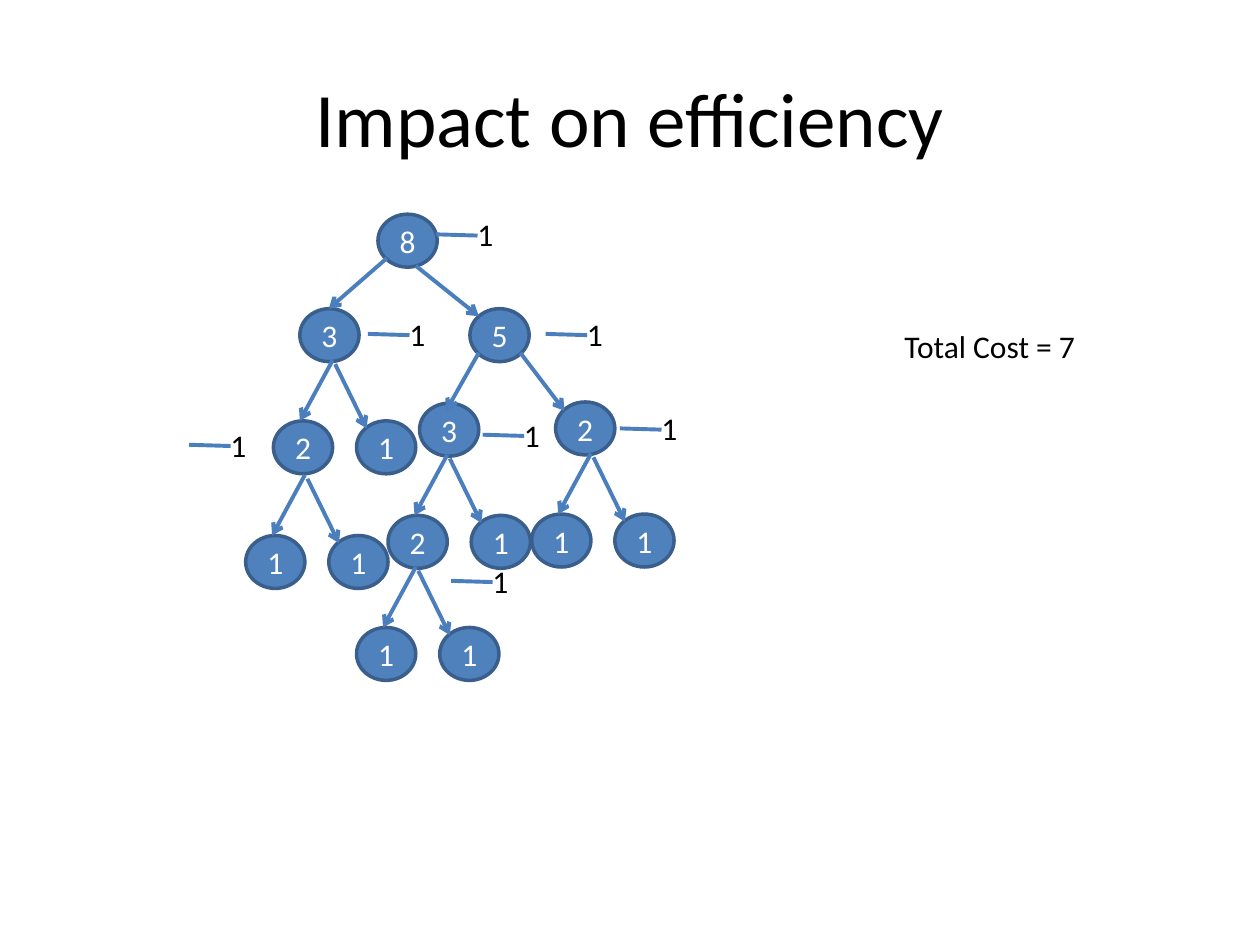
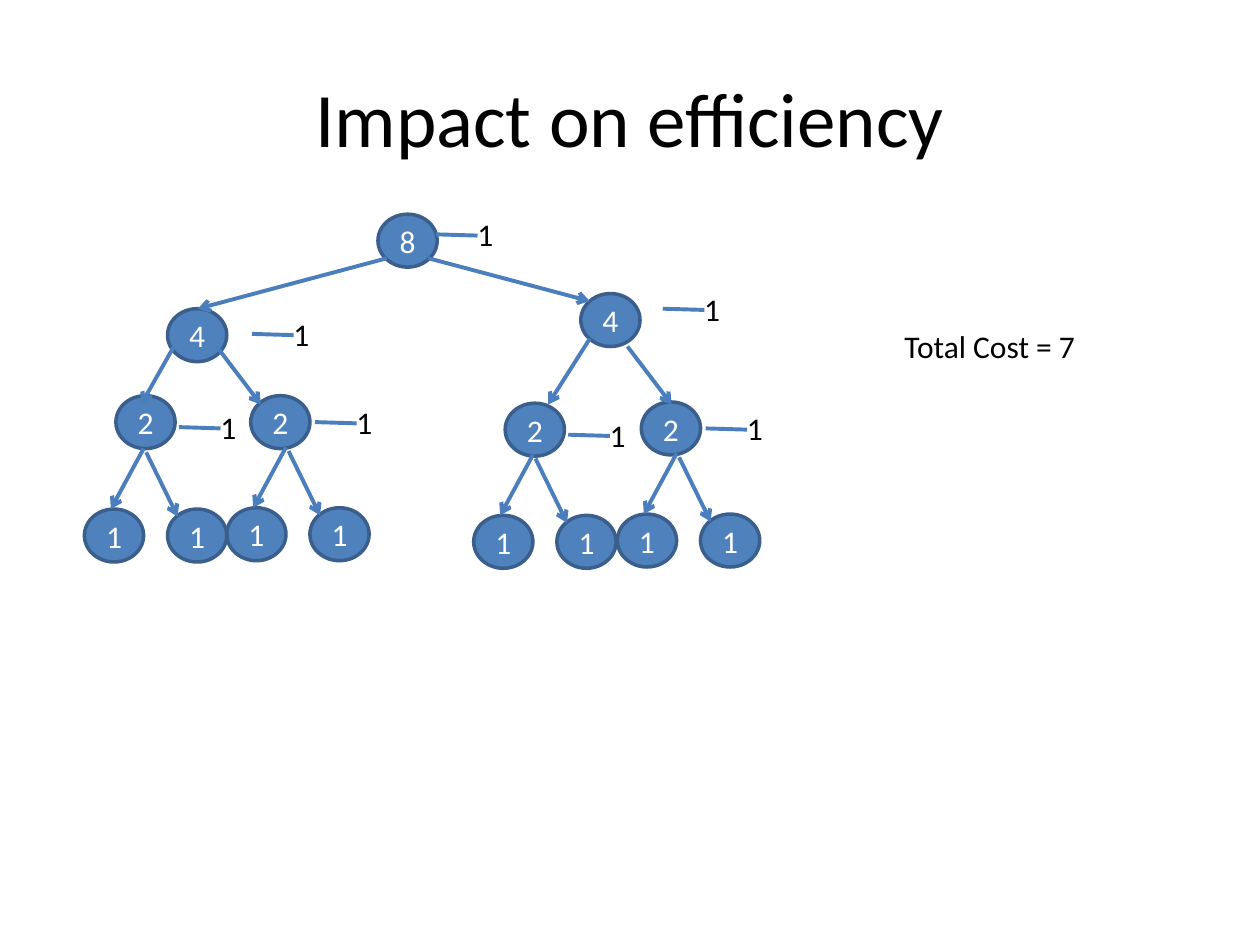
from lxml import etree
from pptx import Presentation
from pptx.dml.color import RGBColor
from pptx.enum.shapes import MSO_CONNECTOR as Connector, MSO_SHAPE as Shape
from pptx.enum.text import MSO_ANCHOR as Anchor, MSO_AUTO_SIZE as AutoSize, PP_ALIGN as Align
from pptx.oxml.ns import qn
from pptx.util import Inches, Pt

BLACK = RGBColor(0x00, 0x00, 0x00)
WHITE = RGBColor(0xFF, 0xFF, 0xFF)
NODE_FILL = RGBColor(0x4F, 0x81, 0xBD)
NODE_EDGE = RGBColor(0x3A, 0x5F, 0x8C)
LINK = RGBColor(0x4B, 0x7E, 0xBC)

NODE_WIDTH, NODE_HEIGHT = 0.47, 0.42
SIBLING_STEP = 0.66

# Nodes: label, left, top. Links: from x, y to x, y.
# Splits: left and top of the left child, then the two labels.
# Costs: start of the short line before each "1".
UNEVEN_TREE = {
    "nodes": [("8", 3, 1.7), ("5", 3.73, 2.45), ("3", 2.38, 2.45),
              ("3", 3.33, 3.2), ("2", 4.41, 3.19)],
    "links": [(3.07, 2.05, 2.61, 2.45), (3.8, 2.8, 3.54, 3.26),
              (3.3, 2.11, 3.8, 2.51), (4.13, 2.8, 4.48, 3.26)],
    "splits": [(4.22, 4.08, "11"), (3.08, 4.09, "21"), (2.17, 3.34, "21"),
               (2.83, 4.98, "11"), (1.95, 4.25, "11")],
    "costs": [(3.46, 1.86), (2.92, 2.65), (4.92, 3.4), (4.33, 2.65),
              (3.83, 3.45), (3.58, 4.61), (1.5, 3.53)],
}
EVEN_TREE = {
    "nodes": [("8", 3, 1.7), ("4", 4.61, 2.33), ("4", 1.33, 2.45),
              ("2", 4.01, 3.2), ("2", 5.09, 3.19),
              ("2", 0.92, 3.14), ("2", 1.99, 3.14)],
    "links": [(3.07, 2.05, 1.57, 2.45), (3.4, 2.05, 4.68, 2.39),
              (1.38, 2.75, 1.12, 3.21), (1.72, 2.75, 2.07, 3.21),
              (4.68, 2.69, 4.35, 3.21), (4.98, 2.75, 5.33, 3.21)],
    "splits": [(4.9, 4.08, "11"), (3.76, 4.09, "11"),
               (1.8, 4.03, "11"), (0.67, 4.04, "11")],
    "costs": [(3.46, 1.86), (2, 2.65), (5.6, 3.4), (4.51, 3.45),
              (2.5, 3.35), (1.42, 3.39), (5.26, 2.45)],
}


class TreeDeck:
    body_format = {"name": "Calibri", "size": Pt(18)}
    title_format = {"name": "Calibri", "size": Pt(44)}

    def __init__(self):
        self.deck = Presentation()
        self.deck.slide_width, self.deck.slide_height = Inches(10), Inches(7.5)
        self.page = None

    def put_text(self, box, text, color, formats, align=Align.LEFT):
        para = box.text_frame.paragraphs[0]
        para.alignment = align
        span = para.add_run()
        span.text = text
        for key, value in formats.items():
            setattr(span.font, key, value)
        span.font.color.rgb = color

    def new_page(self, title):
        self.page = self.deck.slides.add_slide(self.deck.slide_layouts[5])
        box = self.page.shapes.title
        box.left, box.top = Inches(0.5), Inches(0.3)
        box.width, box.height = Inches(9), Inches(1.25)
        box.text_frame.vertical_anchor = Anchor.MIDDLE
        self.put_text(box, title, BLACK, self.title_format, Align.CENTER)

    def text(self, text, left, top, width, height=0.4):
        box = self.page.shapes.add_textbox(
            Inches(left), Inches(top), Inches(width), Inches(height))
        box.text_frame.word_wrap = True
        box.text_frame.auto_size = AutoSize.SHAPE_TO_FIT_TEXT
        self.put_text(box, text, BLACK, self.body_format)

    def node(self, label, left, top):
        circle = self.page.shapes.add_shape(
            Shape.OVAL, Inches(left), Inches(top),
            Inches(NODE_WIDTH), Inches(NODE_HEIGHT))
        circle.shadow.inherit = False
        circle.fill.solid()
        circle.fill.fore_color.rgb = NODE_FILL
        circle.line.color.rgb = NODE_EDGE
        circle.line.width = Pt(2)
        circle.text_frame.vertical_anchor = Anchor.MIDDLE
        self.put_text(circle, label, WHITE, self.body_format, Align.CENTER)

    def link(self, x1, y1, x2, y2, arrow=True):
        line = self.page.shapes.add_connector(
            Connector.STRAIGHT, Inches(x1), Inches(y1), Inches(x2), Inches(y2))
        line.line.color.rgb = LINK
        line.line.width = Pt(2.25)
        properties = line._element.spPr
        if arrow:
            etree.SubElement(properties.get_or_add_ln(), qn("a:tailEnd"), type="arrow")
        etree.SubElement(properties, qn("a:effectLst"))

    def split(self, left, top, labels):
        """Two sibling nodes with the arrows that come down from their parent."""
        for index, label in enumerate(labels):
            self.node(label, left + index * SIBLING_STEP, top)
        self.link(left + 0.47, top - 0.48, left + 0.21, top)
        self.link(left + 0.49, top - 0.45, left + 0.74, top + 0.06)

    def cost(self, left, top):
        """A short line followed by the cost of one split."""
        self.text("1", left + 0.23, top - 0.2, 0.5)
        self.link(left, top, left + 0.33, top + 0.01, arrow=False)

    def tree(self, parts):
        for draw, key in ((self.node, "nodes"), (self.link, "links"),
                          (self.split, "splits"), (self.cost, "costs")):
            for values in parts[key]:
                draw(*values)


def main():
    show = TreeDeck()
    for parts in (UNEVEN_TREE, EVEN_TREE):
        show.new_page("Impact on efficiency")
        show.text("Total Cost = 7", 7.08, 2.55, 2.08)
        show.tree(parts)
    show.deck.save("out.pptx")


if __name__ == "__main__":
    main()
